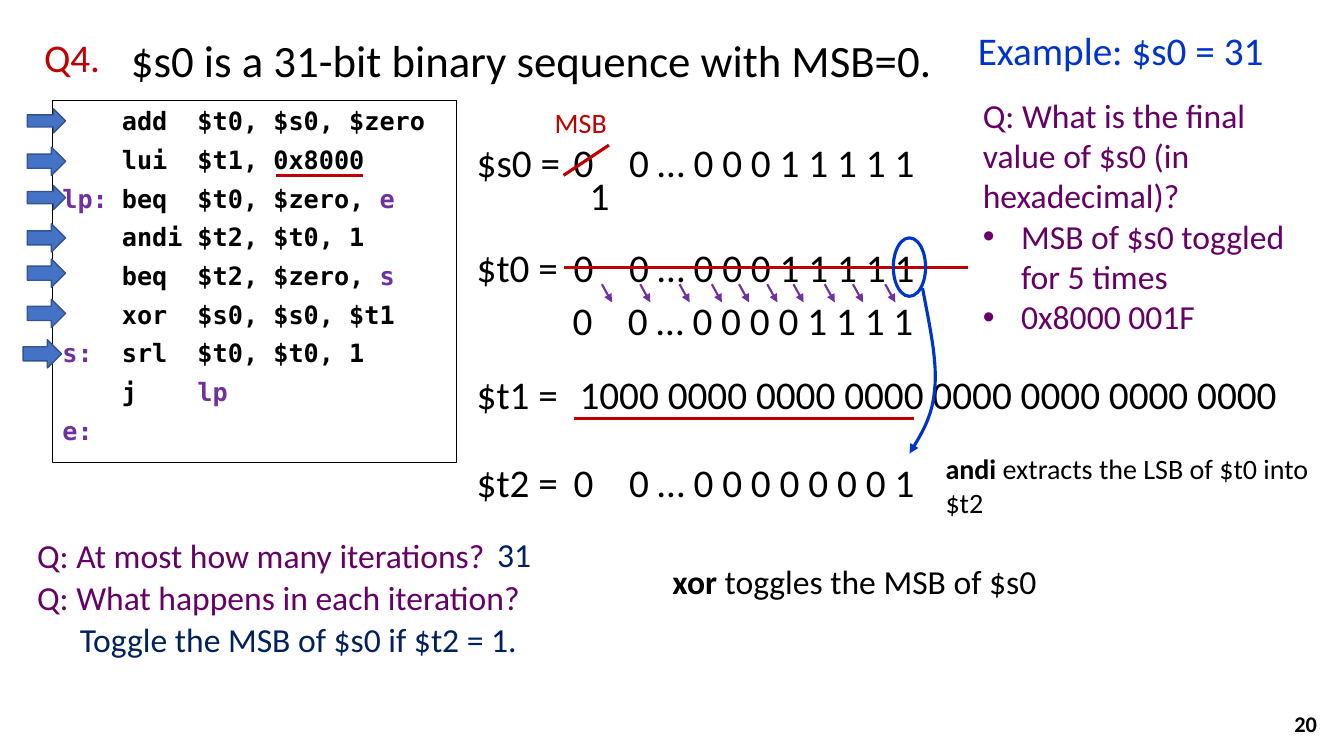
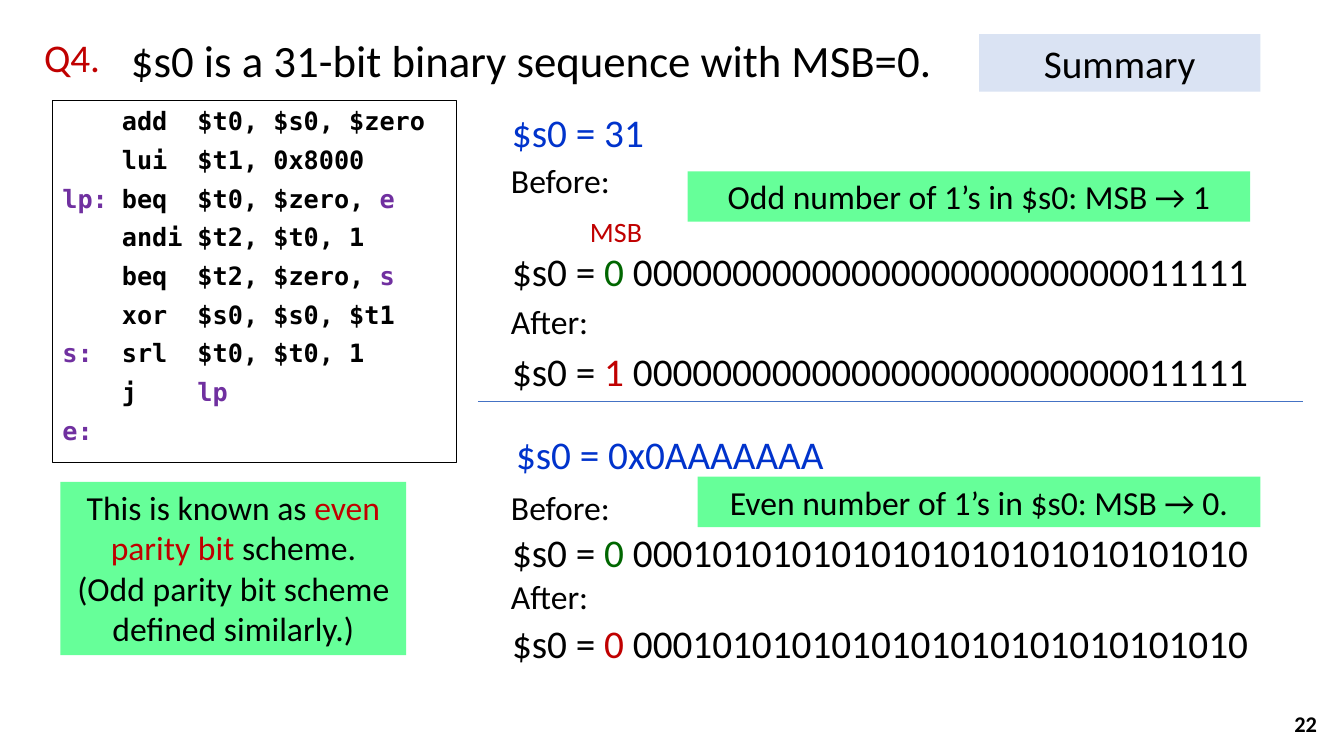
from lxml import etree
from pptx import Presentation
from pptx.dml.color import RGBColor
from pptx.enum.shapes import MSO_CONNECTOR, MSO_SHAPE
from pptx.enum.text import MSO_ANCHOR, PP_ALIGN
from pptx.oxml.ns import qn
from pptx.util import Emu, Pt

PX = 9144
LEFT, CENTER, RIGHT = PP_ALIGN.LEFT, PP_ALIGN.CENTER, PP_ALIGN.RIGHT
TOP, MIDDLE = MSO_ANCHOR.TOP, MSO_ANCHOR.MIDDLE
RECTANGLE, OVAL, ARROW = MSO_SHAPE.RECTANGLE, MSO_SHAPE.OVAL, MSO_SHAPE.RIGHT_ARROW
STRAIGHT = MSO_CONNECTOR.STRAIGHT

SANS, MONO = "Calibri", "DejaVu Sans Mono"
BLACK, WHITE, RED, PURPLE = "000000", "FFFFFF", "C00000", "7030A0"
BLUE, NAVY, PLUM, GREEN = "0033CC", "002060", "660066", "006600"
STEEL, STEEL_EDGE, MINT, PALE = "4472C4", "325491", "66FF99", "DAE3F3"

CODE = [
    ("", "add", "$t0, $s0, $zero", ""),
    ("", "lui", "$t1, 0x8000", ""),
    ("lp:", "beq", "$t0, $zero, ", "e"),
    ("", "andi", "$t2, $t0, 1", ""),
    ("", "beq", "$t2, $zero, ", "s"),
    ("", "xor", "$s0, $s0, $t1", ""),
    ("s:", "srl", "$t0, $t0, 1", ""),
    ("", "j", "", "lp"),
]
STEPS = [(-25, 8, 24), (-25, 46, 28), (-25, 84, 24), (-25, 122, 28),
         (-25, 157, 28), (-25, 197, 28), (-29, 237, 28)]
REGISTERS = [
    ("$s0 =", 32, 96, "0\t0 … 0 0 0 1 1 1 1 1"),
    ("$t0 =", 136, 96, "0\t0 … 0 0 0 1 1 1 1 1"),
    ("", 189, 95, "0\t0 … 0 0 0 0 1 1 1 1"),
    ("$t1 =", 262, 102, "1000 0000 0000 0000 0000 0000 0000 0000"),
    ("$t2 =", 350, 96, "0\t0 … 0 0 0 0 0 0 0 1"),
]
BIT_SHIFTS = (134, 172, 211, 243, 270, 298, 324, 355, 383, 415)
LSB_CURVE = [((452, 186), (459, 223), (467, 259), (464, 286)),
             ((464, 286), (462, 314), (450, 332), (439, 350))]


def px(length):
    """Turn px into EMU."""
    return Emu(round(length * PX))


def rgb(color):
    """Turn a hex string into a colour."""
    return RGBColor.from_string(color)


def set_all(target, values):
    """Set every attribute named in a dict."""
    for name, value in values.items():
        setattr(target, name, value)


def sub(parent, tag, **attributes):
    """Append a DrawingML element."""
    return etree.SubElement(parent, qn(tag), attributes)


def write(frame, paragraphs, size=28, color=BLACK, font=SANS, bold=False,
          align=LEFT, anchor=TOP, after=0, tabs=(), bulleted=()):
    """Write paragraphs, each a string or a list of (text, colour, bold) runs."""
    set_all(frame, {"word_wrap": True, "vertical_anchor": anchor})
    for index, runs in enumerate(paragraphs):
        paragraph = frame.add_paragraph() if index else frame.paragraphs[0]
        set_all(paragraph, {"alignment": align, "space_after": Pt(after)})
        properties = paragraph._p.get_or_add_pPr()
        if index in bulleted:
            properties.set("marL", str(px(38)))
            properties.set("indent", str(-px(38)))
            sub(properties, "a:buFont", typeface="Arial")
            sub(properties, "a:buChar", char="•")
        if tabs:
            stops = sub(properties, "a:tabLst")
            for stop in tabs:
                sub(stops, "a:tab", pos=str(px(stop)), algn="l")
        for text, *own in [(runs,)] if isinstance(runs, str) else runs:
            run_color, run_bold = (own + [None, None])[:2]
            run = paragraph.add_run()
            run.text = text
            set_all(run.font, {"name": font, "size": Pt(size),
                               "bold": bold if run_bold is None else run_bold})
            run.font.color.rgb = rgb(run_color or color)


def label(slide, box, *paragraphs, **style):
    """Place a text box."""
    write(slide.shapes.add_textbox(*map(px, box)).text_frame, paragraphs, **style)


def paint(shape, fill=None, line=None, width=1):
    """Give a shape its fill and outline and drop its shadow."""
    shape.shadow.inherit = False
    for part, color in ((shape.fill, fill), (shape.line.fill, line)):
        if color:
            part.solid()
            part.fore_color.rgb = rgb(color)
        else:
            part.background()
    if line:
        shape.line.width = Pt(width)


def block(slide, kind, box, paragraphs=(), fill=None, line=None, width=1, **style):
    """Place a preset shape with optional text."""
    shape = slide.shapes.add_shape(kind, *map(px, box))
    paint(shape, fill, line, width)
    write(shape.text_frame, paragraphs, **style)


def add_head(shape):
    """Put a triangle at the end of a line."""
    sub(shape.element.spPr.find(qn("a:ln")), "a:tailEnd", type="triangle")


def rule(slide, start, end, color, width=2.25, head=False):
    """Draw a straight line, with an arrowhead if asked."""
    line = slide.shapes.add_connector(STRAIGHT, *map(px, start + end))
    line.line.color.rgb = rgb(color)
    line.line.width = Pt(width)
    if head:
        add_head(line)
    sub(line.element.spPr, "a:effectLst")


def bezier(points, t):
    """Return the point at t on a cubic curve."""
    weights = ((1 - t) ** 3, 3 * t * (1 - t) ** 2, 3 * t * t * (1 - t), t ** 3)
    return tuple(sum(w * point[axis] for w, point in zip(weights, points))
                 for axis in (0, 1))


def curved_arrow(slide, left, top, curves, color):
    """Draw an open curve that ends in an arrowhead."""
    steps = 16
    points = [curves[0][0]] + [bezier(curve, step / steps) for curve in curves
                               for step in range(1, steps + 1)]
    start, *others = [(px(left + x), px(top + y)) for x, y in points]
    builder = slide.shapes.build_freeform(*start)
    builder.add_line_segments(others, close=False)
    curve = builder.convert_to_shape()
    paint(curve, line=color, width=2.25)
    add_head(curve)


def question_frame(slide, number):
    """Place the question heading, code listing and slide number."""
    label(slide, (1016, 698, 300, 40), number, size=16, bold=True,
          align=RIGHT, anchor=MIDDLE)
    label(slide, (22, 28, 99, 57), "Q4.", color=RED, align=CENTER)
    label(slide, (120, 28, 851, 64),
          "$s0 is a 31-bit binary sequence with MSB=0.", size=32)
    listing = [[(f"{mark}\t", PURPLE), (f"{operation}\t{operands}",), (target, PURPLE)]
               for mark, operation, operands, target in CODE]
    block(slide, RECTANGLE, (52, 100, 401, 359), listing + [[("e:", PURPLE)]],
          fill=WHITE, line=BLACK, width=0.75, size=18, font=MONO, bold=True,
          after=6, tabs=(59, 134))


def step_arrows(slide, left, top):
    """Point at the traced code lines and underline the mask."""
    for x, y, height in STEPS:
        block(slide, ARROW, (left + x, top + y, 38, height),
              fill=STEEL, line=STEEL_EDGE)
    rule(slide, (left + 222, top + 74), (left + 308, top + 74), RED)


def register_trace(slide, left, top):
    """Show the register values and how one iteration changes them."""
    for name, y, x, bits in REGISTERS:
        if name:
            label(slide, (left, top + y, 111, 57), name)
        label(slide, (left + x, top + y, 732, 57), bits, tabs=(55,))
    label(slide, (left + 77, top, 72, 44), "MSB", size=20, color=RED, align=CENTER)
    label(slide, (left + 104, top + 65, 55, 57), "1", align=CENTER)
    for start, end in (((141, 44), (96, 74)), ((96, 165), (497, 165)),
                       ((106, 315), (444, 315))):
        rule(slide, (left + start[0], top + start[1]),
             (left + end[0], top + end[1]), RED)
    for x in BIT_SHIFTS:
        rule(slide, (left + x, top + 182), (left + x + 10, top + 200),
             PURPLE, 1.5, head=True)
    block(slide, OVAL, (left + 423, top + 136, 32, 58), line=BLUE, width=2.25)
    curved_arrow(slide, left, top, LSB_CURVE, BLUE)
    label(slide, (left + 465, top + 343, 384, 77),
          [("andi", BLACK, True), (" extracts the LSB of $t0 into $t2",)], size=20)
    label(slide, (left + 194, top + 452, 482, 50),
          [("xor", BLACK, True), (" toggles the MSB of $s0",)], size=24)


def example_answer(slide, left, top):
    """Place the example heading and its final value."""
    label(slide, (left, top, 336, 57), "Example: $s0 = 31", color=BLUE)
    label(slide, (left + 5, top + 68, 350, 252),
          "Q: What is the final value of $s0 (in hexadecimal)?",
          "MSB of $s0 toggled for 5 times", "0x8000 001F",
          size=24, color=PLUM, bulleted=(1, 2))


def iteration_questions(slide, left, top):
    """Place the questions about the loop with their answers."""
    label(slide, (left, top, 484, 50), "Q: At most how many iterations?",
          size=24, color=PLUM)
    label(slide, (left + 445, top - 1, 76, 50), "31", size=24, color=NAVY, align=CENTER)
    label(slide, (left, top + 41, 504, 50), "Q: What happens in each iteration?",
          size=24, color=PLUM)
    label(slide, (left + 34, top + 83, 470, 50), "Toggle the MSB of $s0 if $t2 = 1.",
          size=24, color=NAVY, align=CENTER)


def parity_case(slide, left, top, value, bits, result, rows, indent, note, note_at):
    """Show $s0 before and after the loop beside its parity rule."""
    label(slide, (left + indent, top, 336, 57), f"$s0 = {value}", color=BLUE)
    before, start, after, end = rows
    for caption, y in (("Before:", before), ("After:", after)):
        label(slide, (left - 1, top + y, 146, 50), caption, size=24)
    for msb, color, y in (("0", GREEN, start), (result, RED, end)):
        label(slide, (left, top + y, 785, 57),
              [("$s0 = ",), (msb, color), (f" {bits}",)])
    block(slide, RECTANGLE, (left + note_at[0], top + note_at[1], 558, 50), [note],
          fill=MINT, size=24, align=CENTER)


def trace_slide(slide):
    """Build the worked example."""
    question_frame(slide, "20")
    step_arrows(slide, 52, 100)
    register_trace(slide, 463, 100)
    example_answer(slide, 960, 21)
    iteration_questions(slide, 27, 526)


def summary_slide(slide):
    """Build the parity summary."""
    question_frame(slide, "22")
    rule(slide, (474, 398), (1292, 398), STEEL, 0.5)
    parity_case(slide, 498, 103, "31", "0000000000000000000000000011111", "1",
                (51, 137, 191, 237), 0, "Odd number of 1’s in $s0: MSB → 1", (184, 67))
    label(slide, (575, 208, 72, 44), "MSB", size=20, color=RED, align=CENTER)
    parity_case(slide, 498, 422, "0x0AAAAAAA", "0001010101010101010101010101010", "0",
                (56, 97, 144, 187), 4, "Even number of 1’s in $s0: MSB → 0.", (194, 51))
    block(slide, RECTANGLE, (971, 34, 279, 57), ["Summary"], fill=PALE, align=CENTER)
    block(slide, RECTANGLE, (60, 478, 343, 172),
          [[("This is known as ",), ("even parity bit", RED), (" scheme.",)],
           "(Odd parity bit scheme defined similarly.)"],
          fill=MINT, size=24, align=CENTER)


def main():
    """Build and save the deck."""
    deck = Presentation()
    set_all(deck, {"slide_width": px(1333), "slide_height": px(750)})
    for build in (trace_slide, summary_slide):
        build(deck.slides.add_slide(deck.slide_layouts[6]))
    deck.save("out.pptx")


if __name__ == "__main__":
    main()
